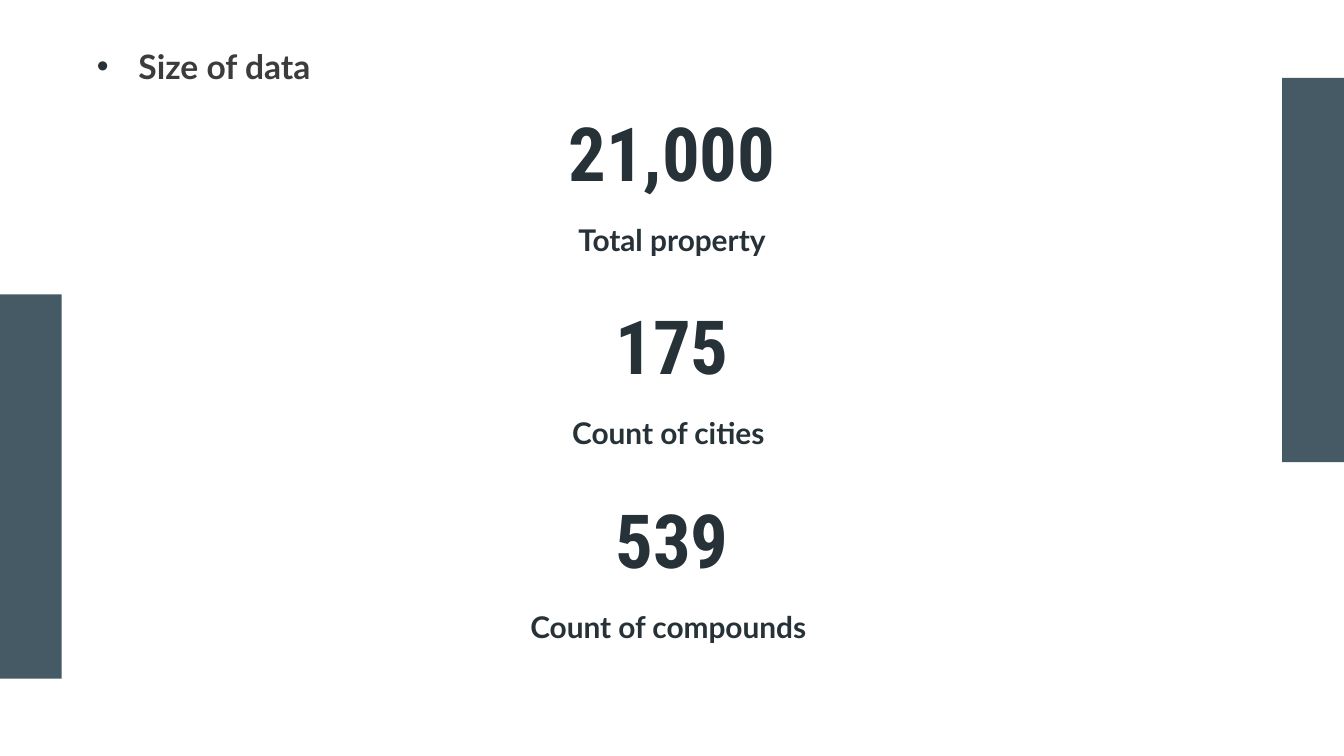
from lxml import etree
from pptx import Presentation
from pptx import util as u
from pptx.dml.color import RGBColor
from pptx.enum import shapes, text
from pptx.oxml.ns import qn

HEAD = "Size of data"
STATS = [
    ("21,000", "Total property"),
    ("175", "Count of cities "),
    ("539", "Count of compounds "),
]
THEME = {
    "bar": "455A64",
    "ink": "263238",
    "head": ("Lato", 18, "3C3C3C"),
    "stat": ("Roboto Condensed", 40, "263238"),
    "label": ("Lato", 16, "263238"),
}
WIDE = 10
HIGH = WIDE * 9 / 16
SPAN = 6.29
COL = (WIDE - SPAN) / 2
TOP, STEP = 0.72, 1.44
STAT_H, LABEL_H = 0.81, 0.5
BAR_W, BAR_H = 0.46, 2.86
BARS = [(WIDE - BAR_W, 0.58), (0, 2.19)]
HEAD_BOX = (0.62, 0.24, 8.28, 0.5)
HANG = 0.31


def place(shape, left, top, width, height):
    shape.left, shape.top = u.Inches(left), u.Inches(top)
    shape.width, shape.height = u.Inches(width), u.Inches(height)


def write(shape, words, style, align):
    name, size, color = THEME[style]
    frame = shape.text_frame
    frame.text = words
    frame.word_wrap = True
    frame.auto_size = text.MSO_AUTO_SIZE.NONE
    frame.vertical_anchor = text.MSO_ANCHOR.MIDDLE
    frame.margin_left = frame.margin_right = u.Inches(0.1)
    frame.margin_top = frame.margin_bottom = u.Inches(0.1)
    para = frame.paragraphs[0]
    para.alignment = align
    para.space_before = u.Pt(0)
    font = para.runs[0].font
    font.name, font.size, font.bold = name, u.Pt(size), True
    font.color.rgb = RGBColor.from_string(color)
    return para


def bullet(para, mark=None, hang=0):
    props = para._p.get_or_add_pPr()
    props.set("marL", str(u.Inches(hang)))
    props.set("indent", str(-u.Inches(hang)))
    if mark is None:
        etree.SubElement(props, qn("a:buNone"))
        return
    tint = etree.SubElement(props, qn("a:buClr"))
    etree.SubElement(tint, qn("a:srgbClr")).set("val", THEME["ink"])
    etree.SubElement(props, qn("a:buFont")).set("typeface", "Arial")
    etree.SubElement(props, qn("a:buChar")).set("char", mark)


def main():
    deck = Presentation()
    deck.slide_width, deck.slide_height = u.Inches(WIDE), u.Inches(HIGH)
    slide = deck.slides.add_slide(deck.slide_layouts[4])
    title, *slots = slide.placeholders
    mid = text.PP_ALIGN.CENTER

    place(title, *HEAD_BOX)
    bullet(write(title, HEAD, "head", text.PP_ALIGN.LEFT), "•", HANG)

    for row, (stat, label) in enumerate(STATS):
        top = TOP + row * STEP
        box = slide.shapes.add_textbox(0, 0, 0, 0)
        place(box, COL, top, SPAN, STAT_H)
        write(box, stat, "stat", mid)
        slot = slots[row]
        place(slot, COL, top + STAT_H, SPAN, LABEL_H)
        bullet(write(slot, label, "label", mid))

    for spare in slots[len(STATS):]:
        spare.element.getparent().remove(spare.element)

    for left, top in BARS:
        bar = slide.shapes.add_shape(shapes.MSO_SHAPE.RECTANGLE, 0, 0, 0, 0)
        place(bar, left, top, BAR_W, BAR_H)
        bar.shadow.inherit = False
        bar.fill.solid()
        bar.fill.fore_color.rgb = RGBColor.from_string(THEME["bar"])
        bar.line.fill.background()

    deck.save("out.pptx")


if __name__ == "__main__":
    main()
